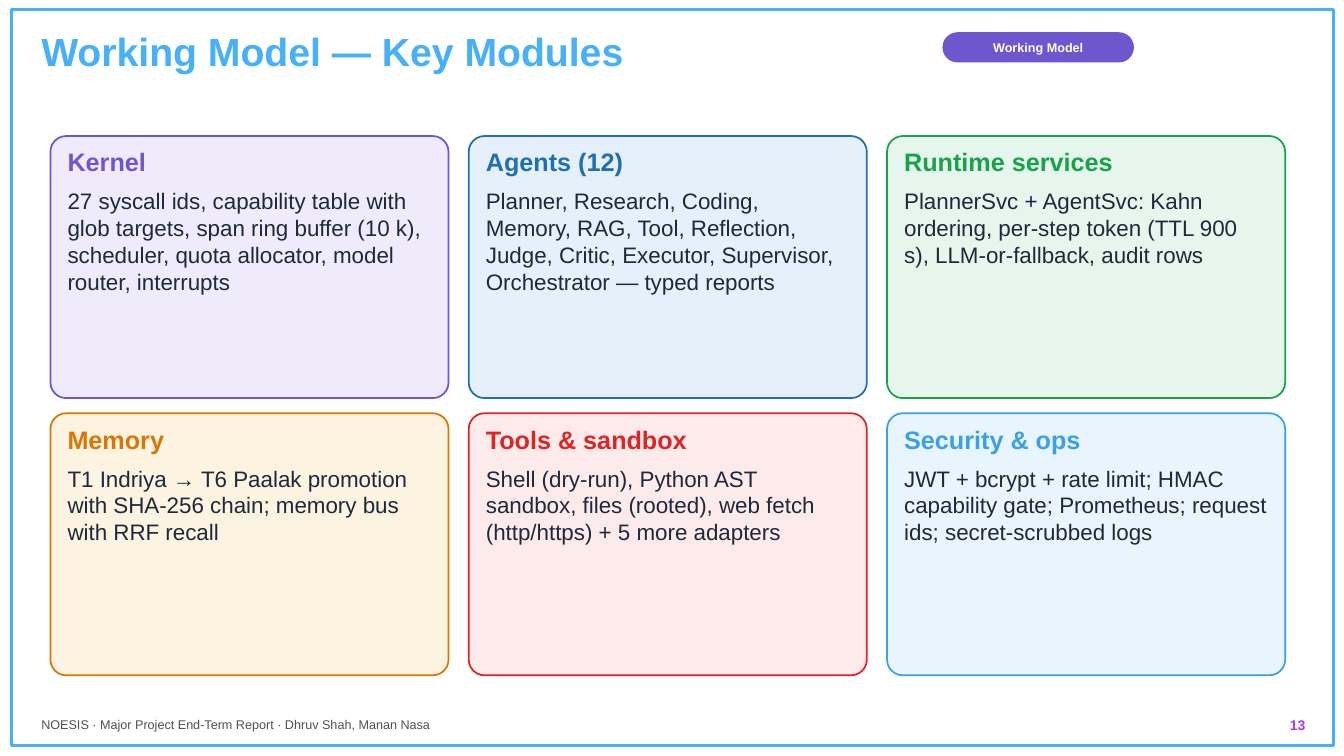
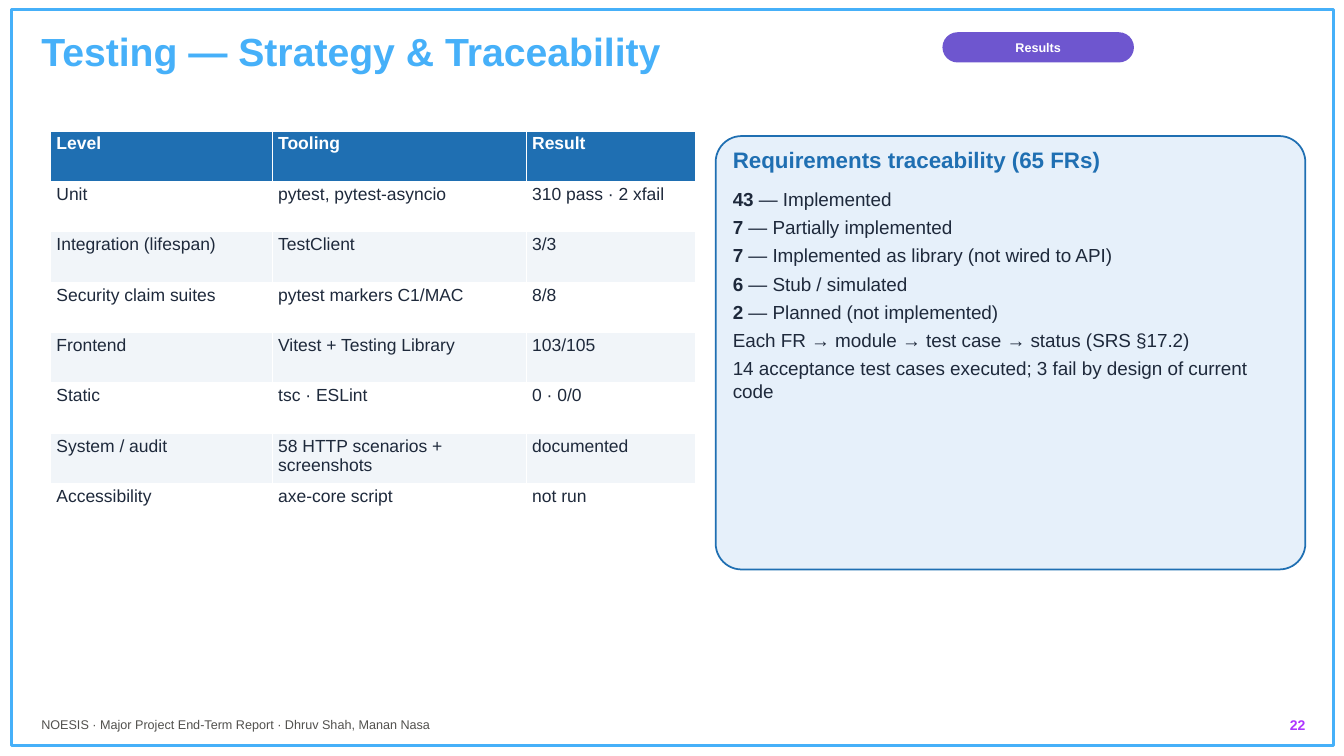
from dataclasses import dataclass
from typing import NamedTuple

from pptx import Presentation
from pptx.dml.color import RGBColor
from pptx.enum.shapes import MSO_SHAPE
from pptx.enum.text import MSO_ANCHOR, MSO_AUTO_SIZE, PP_ALIGN
from pptx.util import Pt

RECT, ROUND = MSO_SHAPE.RECTANGLE, MSO_SHAPE.ROUNDED_RECTANGLE
LEFT, CENTER, RIGHT = PP_ALIGN.LEFT, PP_ALIGN.CENTER, PP_ALIGN.RIGHT
MIDDLE = MSO_ANCHOR.MIDDLE
GROW = MSO_AUTO_SIZE.SHAPE_TO_FIT_TEXT

FONT = "Arial"
WHITE = RGBColor(0xFF, 0xFF, 0xFF)
INK = RGBColor(0x1E, 0x29, 0x3B)
GREY = RGBColor(0x52, 0x51, 0x4E)
STRIPE = RGBColor(0xF1, 0xF5, 0xF9)
SKY = RGBColor(0x46, 0xB0, 0xF9)
VIOLET = RGBColor(0xAE, 0x36, 0xFF)
PURPLE = RGBColor(0x6E, 0x56, 0xCF)
PURPLE_TINT = RGBColor(0xEF, 0xEB, 0xFB)
BLUE = RGBColor(0x1F, 0x6F, 0xB2)
BLUE_TINT = RGBColor(0xE6, 0xF0, 0xFA)
GREEN = RGBColor(0x16, 0xA3, 0x4A)
GREEN_TINT = RGBColor(0xE7, 0xF6, 0xEC)
AMBER = RGBColor(0xD9, 0x77, 0x06)
AMBER_TINT = RGBColor(0xFD, 0xF3, 0xE1)
RED = RGBColor(0xDC, 0x26, 0x26)
RED_TINT = RGBColor(0xFD, 0xEA, 0xEA)
AZURE = RGBColor(0x3A, 0xA0, 0xE8)
AZURE_TINT = RGBColor(0xE8, 0xF5, 0xFD)

FOOTER = "NOESIS · Major Project End-Term Report · Dhruv Shah, Manan Nasa"


class Box(NamedTuple):
    left: float
    top: float
    width: float
    height: float

    def points(self) -> list:
        return [Pt(v) for v in self]


class Line(NamedTuple):
    """A paragraph: an optional bold lead followed by plain text."""
    text: str
    lead: str = ""


@dataclass
class Style:
    size: float
    color: RGBColor
    bold: bool = False
    spacing: float | None = 1.05
    align: PP_ALIGN = LEFT


@dataclass
class Card:
    title: str
    lines: list[Line]
    color: RGBColor
    tint: RGBColor
    title_size: float = 18
    body_size: float = 16


# Slide content
MODULES = [
    Card("Kernel", [Line("27 syscall ids, capability table with glob targets, span ring buffer "
                         "(10 k), scheduler, quota allocator, model router, interrupts")],
         PURPLE, PURPLE_TINT),
    Card("Agents (12)", [Line("Planner, Research, Coding, Memory, RAG, Tool, Reflection, Judge, "
                              "Critic, Executor, Supervisor, Orchestrator — typed reports")],
         BLUE, BLUE_TINT),
    Card("Runtime services", [Line("PlannerSvc + AgentSvc: Kahn ordering, per-step token "
                                   "(TTL 900 s), LLM-or-fallback, audit rows")],
         GREEN, GREEN_TINT),
    Card("Memory", [Line("T1 Indriya → T6 Paalak promotion with SHA-256 chain; "
                         "memory bus with RRF recall")],
         AMBER, AMBER_TINT),
    Card("Tools & sandbox", [Line("Shell (dry-run), Python AST sandbox, files (rooted), "
                                  "web fetch (http/https) + 5 more adapters")],
         RED, RED_TINT),
    Card("Security & ops", [Line("JWT + bcrypt + rate limit; HMAC capability gate; Prometheus; "
                                 "request ids; secret-scrubbed logs")],
         AZURE, AZURE_TINT),
]

TRACEABILITY = Card("Requirements traceability (65 FRs)", [
    Line(" — Implemented", "43"),
    Line(" — Partially implemented", "7"),
    Line(" — Implemented as library (not wired to API)", "7"),
    Line(" — Stub / simulated", "6"),
    Line(" — Planned (not implemented)", "2"),
    Line("Each FR → module → test case → status (SRS §17.2)"),
    Line("14 acceptance test cases executed; 3 fail by design of current code"),
], BLUE, BLUE_TINT, 16, 13.5)

TESTS = [
    ("Level", "Tooling", "Result"),
    ("Unit", "pytest, pytest-asyncio", "310 pass · 2 xfail"),
    ("Integration (lifespan)", "TestClient", "3/3"),
    ("Security claim suites", "pytest markers C1/MAC", "8/8"),
    ("Frontend", "Vitest + Testing Library", "103/105"),
    ("Static", "tsc · ESLint", "0 · 0/0"),
    ("System / audit", "58 HTTP scenarios + screenshots", "documented"),
    ("Accessibility", "axe-core script", "not run"),
]


# Drawing helpers
def set_font(p, size: float, color: RGBColor, bold: bool | None) -> None:
    p.font.name, p.font.size, p.font.bold = FONT, Pt(size), bold
    p.font.color.rgb = color


def set_margins(target, x: float, y: float) -> None:
    target.margin_left = target.margin_right = Pt(x)
    target.margin_top = target.margin_bottom = Pt(y)


def add_text(slide, box: Box, lines: list[Line], style: Style) -> None:
    tf = slide.shapes.add_textbox(*box.points()).text_frame
    tf.word_wrap = True
    tf.auto_size = GROW
    set_margins(tf, 3.6, 2.16)
    for i, line in enumerate(lines):
        p = tf.add_paragraph() if i else tf.paragraphs[0]
        p.alignment = style.align
        p.space_after = Pt(4)
        p.line_spacing = style.spacing
        set_font(p, style.size, style.color, style.bold)
        if line.lead:
            r = p.add_run()
            r.text = line.lead
            r.font.bold = True
        p.add_run().text = line.text


def add_panel(slide, kind: MSO_SHAPE, box: Box, fill: RGBColor | None = None,
              line: RGBColor | None = None, weight: float = 1.25, radius: float = 0.06):
    sp = slide.shapes.add_shape(kind, *box.points())
    sp.shadow.inherit = False
    if kind == ROUND:
        sp.adjustments[0] = radius
    if fill is None:
        sp.fill.background()
    else:
        sp.fill.solid()
        sp.fill.fore_color.rgb = fill
    if line is None:
        sp.line.fill.background()
    else:
        sp.line.color.rgb = line
        sp.line.width = Pt(weight)
    return sp


def add_card(slide, box: Box, card: Card) -> None:
    add_panel(slide, ROUND, box, card.tint, card.color)
    left, width = box.left + 8.64, box.width - 17.28
    head = Box(left, box.top + 4.32, width, 30.24)
    body = Box(left, head.top + head.height, width, box.height - 39.6)
    add_text(slide, head, [Line(card.title)], Style(card.title_size, card.color, True))
    add_text(slide, body, card.lines, Style(card.body_size, INK, spacing=None))


def add_test_table(slide, left: float, top: float, widths: list[float], row_height: float) -> None:
    box = Box(left, top, sum(widths), row_height * len(TESTS))
    table = slide.shapes.add_table(len(TESTS), len(widths), *box.points()).table
    for column, width in zip(table.columns, widths):
        column.width = Pt(width)
    for i, row in enumerate(TESTS):
        header = i == 0
        fill = BLUE if header else WHITE if i % 2 else STRIPE
        for j, text in enumerate(row):
            cell = table.cell(i, j)
            cell.text = text
            set_margins(cell, 4.32, 2.16)
            cell.fill.solid()
            cell.fill.fore_color.rgb = fill
            set_font(cell.text_frame.paragraphs[0], 12.5, WHITE if header else INK, header)


def add_base_slide(prs, title: str, section: str, number: int):
    """Add a slide with the frame, title, footer and section pill."""
    slide = prs.slides.add_slide(prs.slide_layouts[6])
    add_panel(slide, RECT, Box(7.92, 6.48, 944.64, 526.32), line=SKY, weight=2.25)
    add_text(slide, Box(25.92, 15.84, 784.8, 46.8), [Line(title)], Style(28, SKY, True))
    add_text(slide, Box(25.92, 509.04, 540, 21.6), [Line(FOOTER)], Style(9, GREY))
    add_text(slide, Box(835.2, 509.04, 100.8, 21.6), [Line(str(number))],
             Style(10, VIOLET, True, align=RIGHT))
    pill = add_panel(slide, ROUND, Box(673.2, 23.04, 136.8, 21.6), PURPLE, radius=0.5)
    tf = pill.text_frame
    tf.vertical_anchor = MIDDLE
    set_margins(tf, 2.16, 0)
    p = tf.paragraphs[0]
    p.text = section
    p.alignment = CENTER
    set_font(p, 9, WHITE, True)
    return slide


# Slides
def build_modules(prs) -> None:
    slide = add_base_slide(prs, "Working Model — Key Modules", "Working Model", 13)
    width, height, gap_x, gap_y = 284.4, 187.2, 14.4, 10.8
    for i, card in enumerate(MODULES):
        row, col = divmod(i, 3)
        box = Box(36 + col * (width + gap_x), 97.2 + row * (height + gap_y), width, height)
        add_card(slide, box, card)


def build_testing(prs) -> None:
    slide = add_base_slide(prs, "Testing — Strategy & Traceability", "Results", 22)
    add_test_table(slide, 36, 93.6, [158.4, 181.44, 120.96], 36)
    add_card(slide, Box(511.2, 97.2, 421.2, 309.6), TRACEABILITY)


def main() -> None:
    prs = Presentation()
    prs.slide_width, prs.slide_height = Pt(960), Pt(540)
    build_modules(prs)
    build_testing(prs)
    prs.save("out.pptx")


if __name__ == "__main__":
    main()
